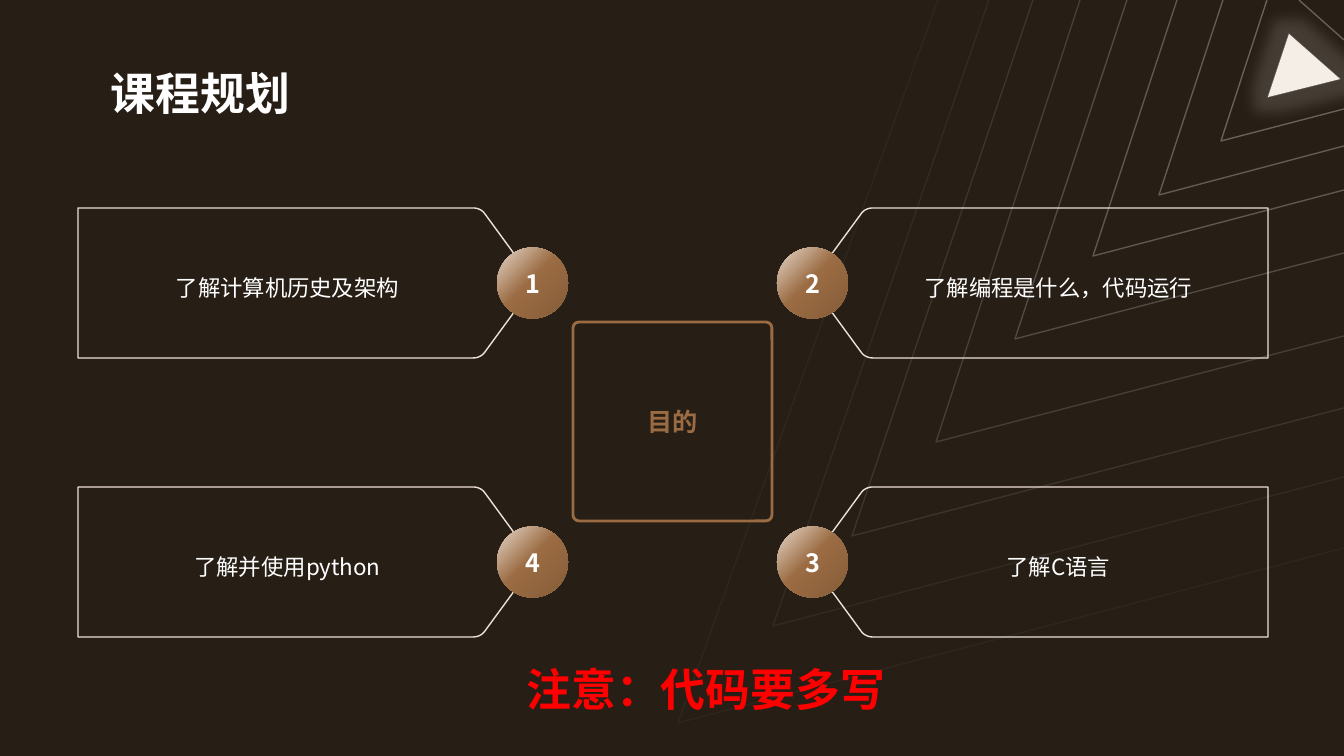
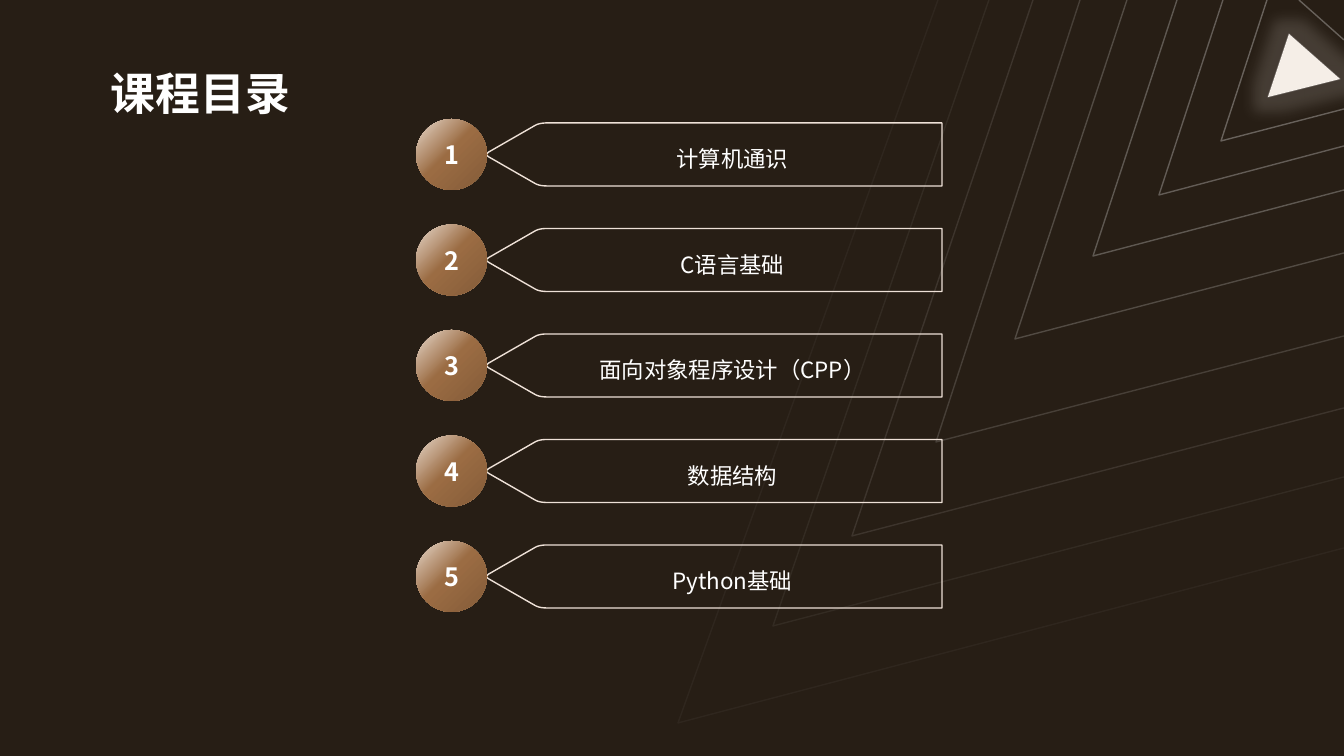
"""Build two course-plan slides: four goals around a purpose, and a contents list."""
import copy

import pptx
import pptx.dml.color
import pptx.enum.shapes
import pptx.enum.text
import pptx.oxml.ns
import pptx.util
from lxml import etree

WIDTH, HEIGHT = 1344, 756
SCALE = 12192000 / WIDTH

BACKGROUND, WHITE, CREAM, OUTLINE = "271E15", "FFFFFF", "F5EEE7", "EEE1D7"
BRONZE, RED = "9B6C43", "FF0000"
BALL_STOPS = [(0, "E9DACD"), (0.47, BRONZE), (1, "845C39")]
LATIN, CHINESE = "Arial", "Noto Sans CJK SC"

PLAN_TITLE = "课程规划"
PURPOSE = "目的"
REMINDER = "注意：代码要多写"
GOALS = [
    ("1", "了解计算机历史及架构", "left", 208),
    ("2", "了解编程是什么，代码运行", "right", 208),
    ("3", "了解C语言", "right", 487),
    ("4", "了解并使用python", "left", 487),
]

CONTENTS_TITLE = "课程目录"
CHAPTERS = ["计算机通识", "C语言基础", "面向对象程序设计（CPP）", "数据结构", "Python基础"]
CHAPTER_TOP, CHAPTER_BOTTOM = 119, 541

GLOW_TRIANGLE = [(1289, 34), (1340, 79), (1268, 97)]
RAYS = [
    ([(1299, 0), (WIDTH, 40)], 30),
    ([(WIDTH, 109), (1221, 141), (1267, 0)], 30),
    ([(WIDTH, 146), (1159, 195), (1223, 0)], 28),
    ([(WIDTH, 190), (1093, 256), (1177, 0)], 25),
    ([(WIDTH, 253), (1015, 339), (1127, 0)], 20),
    ([(WIDTH, 336), (936, 442), (1080, 0)], 15),
    ([(WIDTH, 408), (852, 536), (1033, 0)], 10),
    ([(WIDTH, 477), (773, 626), (989, 0)], 5),
    ([(WIDTH, 548), (678, 723), (938, 0)], 3),
]

BALL, TAG_WIDTH = 71, 455
TAG_WIDE_INSET, TAG_NARROW_INSET = 71, 35
SHOULDER = [(48, 0.04), (51, 0.01), (56, 0), (60, 0)]
TIP = [(3, 0.55), (-1, 0.52), (-1, 0.48), (3, 0.45)]


def px(length):
    return pptx.util.Emu(round(length * SCALE))


def color(value):
    return pptx.dml.color.RGBColor.from_string(value)


def add_xml(parent, tag, **attributes):
    return etree.SubElement(parent, pptx.oxml.ns.qn(tag), attributes)


def style(shape, fill=None, line=None, weight=1, opacity=100):
    shape.shadow.inherit = False
    if fill:
        shape.fill.solid()
        shape.fill.fore_color.rgb = color(fill)
    else:
        shape.fill.background()
    if line:
        shape.line.color.rgb = color(line)
        shape.line.width = pptx.util.Pt(weight)
        if opacity < 100:
            stroke = shape.element.xpath(".//a:ln//a:srgbClr")[0]
            add_xml(stroke, "a:alpha", val=str(opacity * 1000))
    else:
        shape.line.fill.background()


def write(shape, text, size, ink=WHITE, bold=False, font=CHINESE, align="CENTER",
          anchor="MIDDLE", insets=(0, 0, 0, 0), spacing=None):
    frame = shape.text_frame
    frame.word_wrap = True
    frame.vertical_anchor = getattr(pptx.enum.text.MSO_ANCHOR, anchor)
    frame.margin_left, frame.margin_top, frame.margin_right, frame.margin_bottom = map(px, insets)
    para = frame.paragraphs[0]
    para.text = text
    para.alignment = getattr(pptx.enum.text.PP_ALIGN, align)
    if spacing:
        para.line_spacing = spacing
    para.font.size = pptx.util.Pt(size)
    para.font.bold = bold
    para.font.color.rgb = color(ink)
    para.font.name = font
    add_xml(shape.element.xpath(".//a:defRPr")[0], "a:ea", typeface=CHINESE)


def add_outline(page, points, close):
    corners = [(px(x), px(y)) for x, y in points]
    builder = page.shapes.build_freeform(*corners[0])
    builder.add_line_segments(corners[1:], close=close)
    return builder.convert_to_shape()


def add_preset(page, kind, left, top, width, height):
    preset = getattr(pptx.enum.shapes.MSO_SHAPE, kind)
    return page.shapes.add_shape(preset, px(left), px(top), px(width), px(height))


def add_heading(page, text, left, top, width, ink=WHITE, align="LEFT"):
    box = page.shapes.add_textbox(px(left), px(top), px(width), px(80))
    write(box, text, 32, ink, True, LATIN, align, "BOTTOM")


def curve(controls, steps=8):
    a, b, c, d = controls
    return [
        tuple((1 - t) ** 3 * p + 3 * (1 - t) ** 2 * t * q + 3 * (1 - t) * t * t * r + t ** 3 * s
              for p, q, r, s in zip(a, b, c, d))
        for t in (step / steps for step in range(steps + 1))
    ]


def add_tag(page, text, left, top, height, side="right"):
    shoulder = curve(SHOULDER)
    lower = [(x, 1 - y) for x, y in reversed(shoulder)]
    outline = shoulder + [(TAG_WIDTH, 0), (TAG_WIDTH, 1)] + lower + curve(TIP)
    insets = (TAG_WIDE_INSET, 0, TAG_NARROW_INSET, 5)
    if side == "left":
        outline = [(TAG_WIDTH - x, y) for x, y in outline]
        insets = (TAG_NARROW_INSET, 0, TAG_WIDE_INSET, 5)
    tag = add_outline(page, [(left + x, top + y * height) for x, y in outline], True)
    style(tag, line=OUTLINE)
    write(tag, text, 16, insets=insets, spacing=1.5)


def add_ball(page, number, left, top):
    ball = add_preset(page, "OVAL", left, top, BALL, BALL)
    style(ball)
    ball.fill.gradient()
    ball.fill.gradient_angle = 315
    stops = ball.element.xpath(".//a:gsLst")[0]
    stops.append(copy.deepcopy(stops[0]))
    for stop, (position, value) in zip(ball.fill.gradient_stops, BALL_STOPS):
        stop.position = position
        stop.color.rgb = color(value)
    write(ball, number, 18, bold=True)


def add_page(deck, title):
    page = deck.slides.add_slide(deck.slide_layouts[6])
    triangle = add_outline(page, GLOW_TRIANGLE, True)
    style(triangle, CREAM, WHITE, opacity=20)
    effects = triangle.element.xpath(".//a:effectLst")[0]
    glow = add_xml(effects, "a:glow", rad=str(px(28)))
    add_xml(add_xml(glow, "a:srgbClr", val=CREAM), "a:alpha", val="15000")
    for points, opacity in RAYS:
        style(add_outline(page, points, False), line=WHITE, opacity=opacity)
    add_heading(page, title, 111, 39, 1156)
    return page


def build_plan(deck):
    page = add_page(deck, PLAN_TITLE)
    tag_height = 150
    tag_left = {"left": 78, "right": 813}
    ball_left = {"left": 497, "right": 777}
    for number, text, side, top in GOALS:
        add_tag(page, text, tag_left[side], top, tag_height, side)
        add_ball(page, number, ball_left[side], top + (tag_height - BALL) / 2)
    square = add_preset(page, "ROUNDED_RECTANGLE", 573, 322, 199, 199)
    square.adjustments[0] = 0.03
    style(square, line=BRONZE, weight=2)
    write(square, PURPOSE, 18, BRONZE, True)
    add_heading(page, REMINDER, 111, 636, 1190, RED, "CENTER")


def build_contents(deck):
    page = add_page(deck, CONTENTS_TITLE)
    ball_left, tag_height = 416, 63
    step = (CHAPTER_BOTTOM - CHAPTER_TOP) / (len(CHAPTERS) - 1)
    for index, chapter in enumerate(CHAPTERS):
        top = CHAPTER_TOP + index * step
        add_tag(page, chapter, ball_left + BALL, top + (BALL - tag_height) / 2, tag_height)
        add_ball(page, str(index + 1), ball_left, top)


def main():
    deck = pptx.Presentation()
    deck.slide_width, deck.slide_height = px(WIDTH), px(HEIGHT)
    backdrop = deck.slide_master.background.fill
    backdrop.solid()
    backdrop.fore_color.rgb = color(BACKGROUND)
    build_plan(deck)
    build_contents(deck)
    deck.save("out.pptx")


if __name__ == "__main__":
    main()
